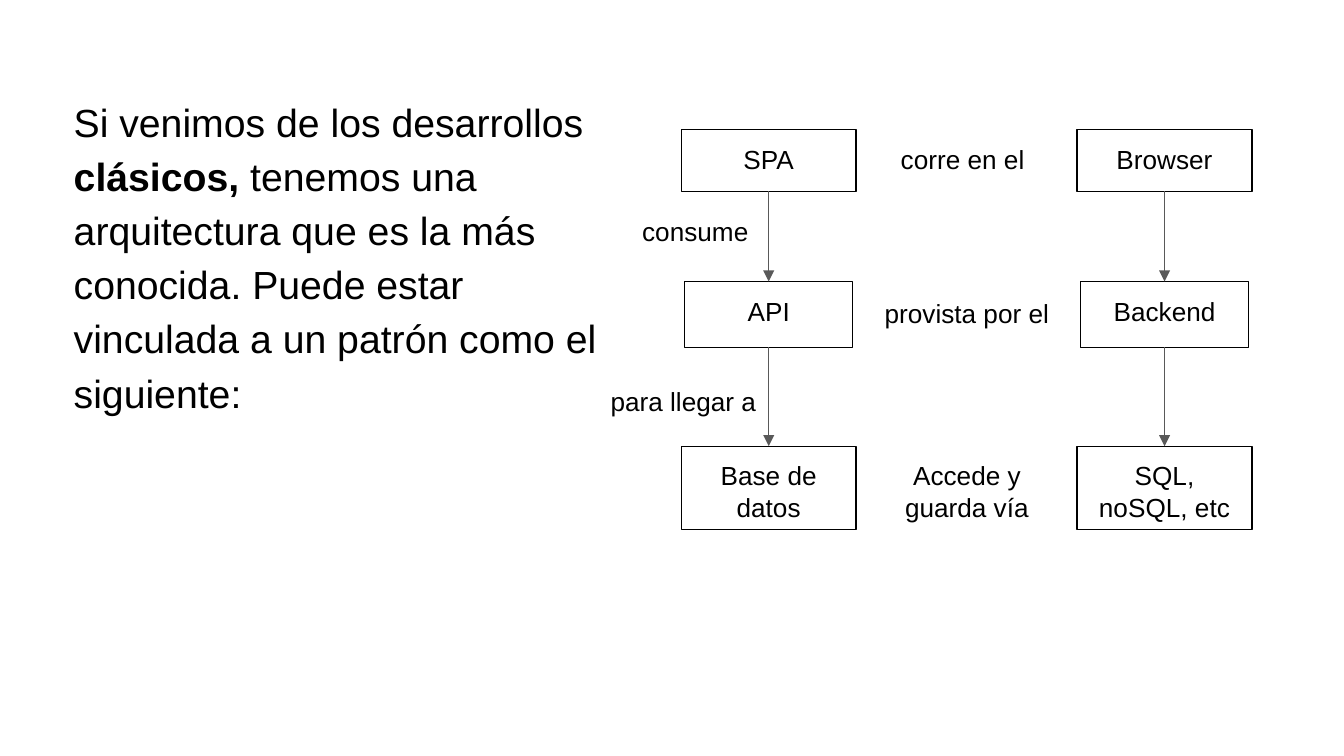
"""Build a slide that explains the classic SPA, API and database architecture."""
from lxml.etree import SubElement
from pptx import Presentation
from pptx.dml.color import RGBColor
from pptx.enum.shapes import MSO_CONNECTOR as LINK, MSO_SHAPE as SHAPE
from pptx.enum.text import MSO_ANCHOR as ANCHOR, PP_ALIGN as ALIGN
from pptx.oxml.ns import qn
from pptx.util import Pt

PX = 4572
BLACK, GREY = "000000", "595959"


def color(value):
    return RGBColor.from_string(value)


def write(shape, runs, size, align, spacing=1.0):
    frame = shape.text_frame
    layout = {"word_wrap": True, "vertical_anchor": ANCHOR.TOP}
    layout |= {f"margin_{side}": 20 * PX for side in ("left", "top", "right", "bottom")}
    for name, value in layout.items():
        setattr(frame, name, value)
    paragraph = frame.paragraphs[0]
    paragraph.alignment = align
    paragraph.line_spacing = spacing
    for words, bold in runs:
        run = paragraph.add_run()
        run.text = words
        for name, value in {"name": "Arial", "size": Pt(size), "bold": bold}.items():
            setattr(run.font, name, value)
        run.font.color.rgb = color(BLACK)


deck = Presentation()
deck.slide_width, deck.slide_height = 2000 * PX, 1125 * PX
slide = deck.slides.add_slide(deck.slide_layouts[6])
shapes = slide.shapes

intro = shapes.add_textbox(90 * PX, 116 * PX, 824 * PX, 782 * PX)
write(intro, [
    ("Si venimos de los desarrollos ", False),
    ("clásicos,", True),
    (" tenemos una arquitectura que es la más conocida. "
     "Puede estar vinculada a un patrón como el siguiente:", False),
], 21, ALIGN.LEFT, 1.15)

levels = [(193, 260, 92), (419, 250, 98), (664, 260, 124)]
columns = {
    1144: ["SPA", "API", "Base de datos"],
    1733: ["Browser", "Backend", "SQL, noSQL, etc"],
}
for center, names in columns.items():
    for name, (top, width, height) in zip(names, levels):
        box = shapes.add_shape(SHAPE.RECTANGLE, (center - width // 2) * PX, top * PX,
                               width * PX, height * PX)
        box.shadow.inherit = False
        box.fill.background()
        box.line.color.rgb = color(BLACK)
        box.line.width = Pt(0.75)
        write(box, [(name, False)], 14, ALIGN.CENTER)
    for (top, _, height), (next_top, _, _) in zip(levels, levels[1:]):
        arrow = shapes.add_connector(LINK.STRAIGHT, center * PX, (top + height) * PX,
                                     center * PX, next_top * PX)
        arrow.line.color.rgb = color(GREY)
        arrow.line.width = Pt(0.75)
        SubElement(arrow.line._get_or_add_ln(), qn("a:tailEnd"), type="triangle")
        SubElement(arrow._element.spPr, qn("a:effectLst"))

relations = [
    ("corre en el ", 1308, 193, 260, 92, ALIGN.CENTER),
    ("provista por el", 1289, 422, 300, 92, ALIGN.CENTER),
    ("Accede y guarda vía", 1289, 664, 300, 92, ALIGN.CENTER),
    ("consume", 936, 300, 208, 120, ALIGN.LEFT),
    ("para llegar a", 889, 554, 272, 120, ALIGN.LEFT),
]
for words, left, top, width, height, align in relations:
    relation = shapes.add_textbox(left * PX, top * PX, width * PX, height * PX)
    write(relation, [(words, False)], 14, align)

deck.save("out.pptx")
